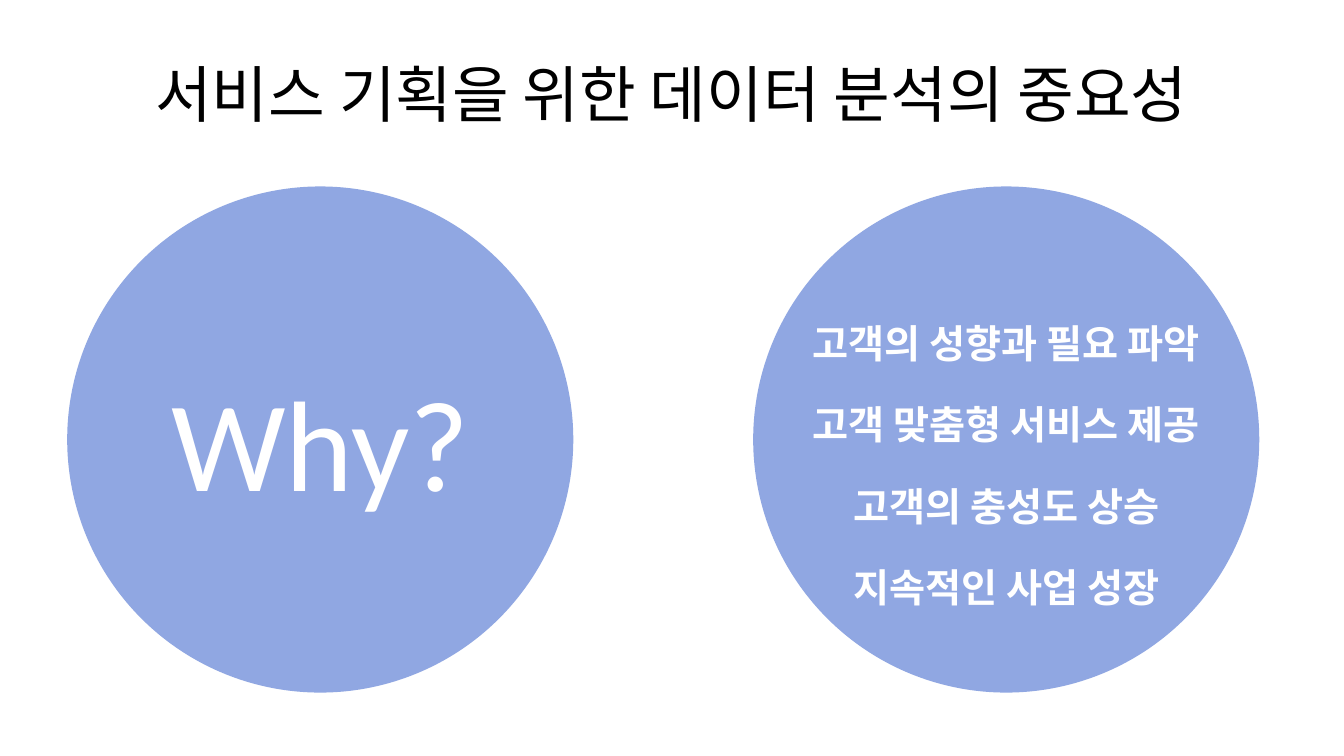
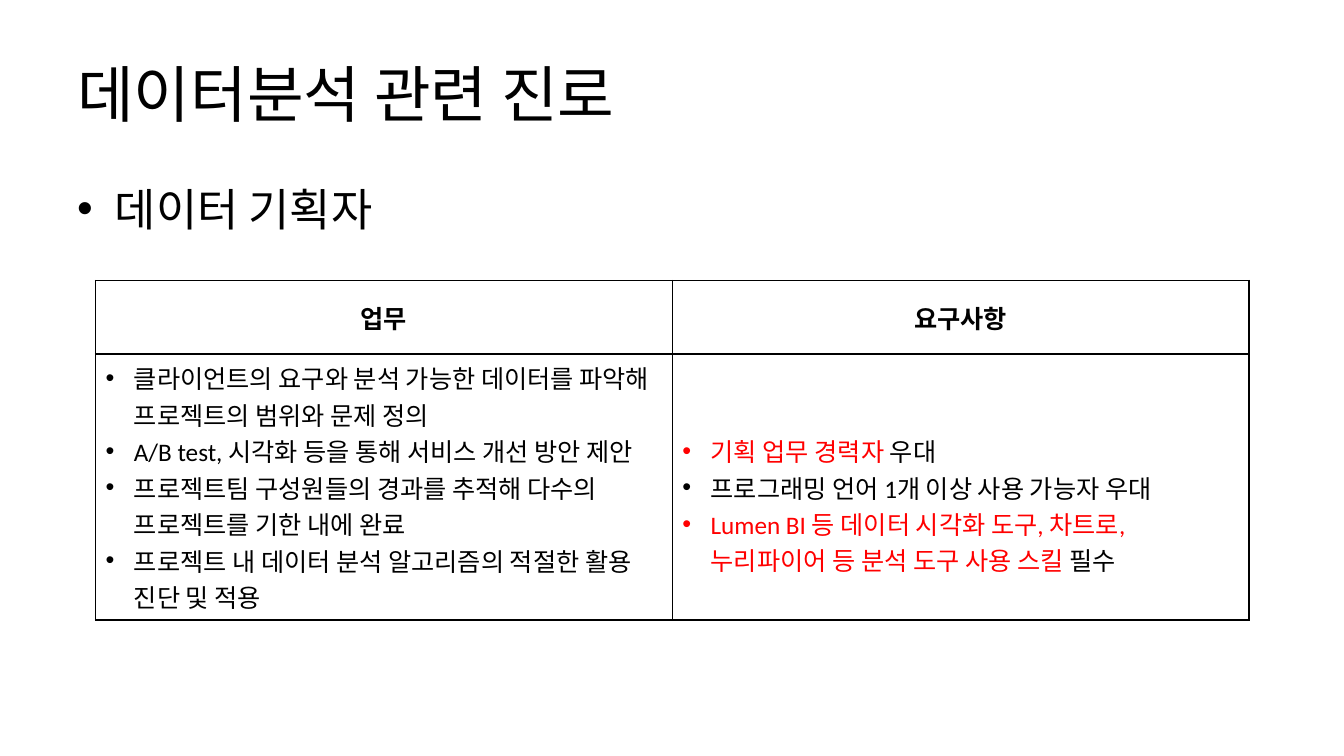
import pptx
import pptx.util
import pptx.dml.color
import pptx.enum.shapes
import pptx.enum.text
import pptx.oxml
import pptx.oxml.ns

Pt = pptx.util.Pt
ALIGN = pptx.enum.text.PP_ALIGN
ANCHOR = pptx.enum.text.MSO_ANCHOR

COLORS = {"ink": "000000", "white": "FFFFFF", "circle": "6182D6", "accent": "FF0000"}
FONT = "Calibri"
TITLE_BOX = (48, 21.6, 864, 90)
TITLE_FORMAT = {"size": Pt(44)}
NAMESPACE = 'xmlns:a="http://schemas.openxmlformats.org/drawingml/2006/main"'


def rgb(name):
    return pptx.dml.color.RGBColor.from_string(COLORS[name])


def set_all(target, values):
    for name, value in values.items():
        setattr(target, name, value)


def write_para(para, spans, formats, align=ALIGN.LEFT):
    para.alignment = align
    for text, color in spans:
        span = para.add_run()
        span.text = text
        set_all(span.font, {"name": FONT, **formats})
        span.font.color.rgb = rgb(color)


def add_bullet(para, indent):
    properties = para._p.get_or_add_pPr()
    properties.set("marL", str(Pt(indent)))
    properties.set("indent", str(-Pt(indent)))
    for xml in (f'<a:buFont {NAMESPACE} typeface="Arial"/>', f'<a:buChar {NAMESPACE} char="•"/>'):
        properties.append(pptx.oxml.parse_xml(xml))


def add_text(page, box, text, formats, color="ink", align=ALIGN.LEFT, anchor=ANCHOR.TOP):
    frame = page.shapes.add_textbox(*map(Pt, box)).text_frame
    set_all(frame, {"word_wrap": True, "vertical_anchor": anchor})
    write_para(frame.paragraphs[0], [(text, color)], formats, align)
    return frame.paragraphs[0]


def add_page(deck, title, align=ALIGN.LEFT):
    page = deck.slides.add_slide(deck.slide_layouts[6])
    add_text(page, TITLE_BOX, title, TITLE_FORMAT, align=align, anchor=ANCHOR.MIDDLE)
    return page


def add_circle(page, box):
    kind = pptx.enum.shapes.MSO_SHAPE.FLOWCHART_CONNECTOR
    circle = page.shapes.add_shape(kind, *map(Pt, box))
    circle.shadow.inherit = False
    circle.line.fill.background()
    circle.fill.solid()
    circle.fill.fore_color.rgb = rgb("circle")
    color = circle._element.spPr.find(".//" + pptx.oxml.ns.qn("a:srgbClr"))
    color.append(pptx.oxml.parse_xml(f'<a:alpha {NAMESPACE} val="70000"/>'))
    return circle


def question_circle(page, box, question):
    frame = add_circle(page, box).text_frame
    frame.vertical_anchor = ANCHOR.MIDDLE
    write_para(frame.paragraphs[0], [(question, "white")], {"size": Pt(92)}, ALIGN.CENTER)


def reason_circle(page, box, reasons):
    add_circle(page, box)
    left, top, width, height = box
    first, pitch = top + 91.5, 58
    for index, reason in enumerate(reasons):
        add_text(page, (left, first + index * pitch, width, 41), reason,
                 {"size": Pt(28), "bold": True}, "white", ALIGN.CENTER)


def style_cell(cell):
    cell.fill.background()
    cell.vertical_anchor = ANCHOR.MIDDLE
    properties = cell._tc.get_or_add_tcPr()
    for index, side in enumerate("LRTB"):
        properties.insert(index, pptx.oxml.parse_xml(
            f'<a:ln{side} {NAMESPACE} w="{Pt(1)}"><a:solidFill>'
            f'<a:srgbClr val="{COLORS["ink"]}"/></a:solidFill></a:ln{side}>'))


def job_table(page, box, head_height, columns):
    left, top, width, height = box
    table = page.shapes.add_table(2, len(columns), *map(Pt, box)).table
    set_all(table, {"first_row": False, "horz_banding": False})
    for row, row_height in zip(table.rows, (head_height, height - head_height)):
        row.height = Pt(row_height)
    for index, (heading, items, top_margin) in enumerate(columns):
        table.columns[index].width = Pt(width / len(columns))
        head, body = table.cell(0, index), table.cell(1, index)
        style_cell(head)
        style_cell(body)
        body.margin_top = Pt(top_margin)
        write_para(head.text_frame.paragraphs[0], [(heading, "ink")],
                   {"size": Pt(18), "bold": True}, ALIGN.CENTER)
        frame = body.text_frame
        for number, spans in enumerate(items):
            para = frame.add_paragraph() if number else frame.paragraphs[0]
            write_para(para, spans, {"size": Pt(18), "bold": False})
            add_bullet(para, 20.25)


def importance_page(deck):
    page = add_page(deck, "서비스 기획을 위한 데이터 분석의 중요성", ALIGN.CENTER)
    top, size = 133.2, 361.5
    question_circle(page, (48, top, size, size), "Why?")
    reason_circle(page, (538, top, size, size), [
        "고객의 성향과 필요 파악",
        "고객 맞춤형 서비스 제공",
        "고객의 충성도 상승",
        "지속적인 사업 성장",
    ])


def career_page(deck):
    page = add_page(deck, "데이터분석 관련 진로")
    para = add_text(page, (48, 126, 864, 60), "데이터 기획자", {"size": Pt(32)})
    add_bullet(para, 27)
    duties = [
        [("클라이언트의 요구와 분석 가능한 데이터를 파악해 프로젝트의 범위와 문제 정의", "ink")],
        [("A/B test, 시각화 등을 통해 서비스 개선 방안 제안", "ink")],
        [("프로젝트팀 구성원들의 경과를 추적해 다수의 프로젝트를 기한 내에 완료", "ink")],
        [("프로젝트 내 데이터 분석 알고리즘의 적절한 활용 진단 및 적용", "ink")],
    ]
    requirements = [
        [("기획 업무 경력자", "accent"), (" 우대", "ink")],
        [("프로그래밍 언어 1개 이상 사용 가능자 우대", "ink")],
        [("Lumen BI 등 데이터 시각화 도구, 차트로, 누리파이어 등 분석 도구 사용 스킬", "accent"),
         (" 필수", "ink")],
    ]
    job_table(page, (68.2, 200.4, 824, 242.5), 52.5,
              [("업무", duties, 3.6), ("요구사항", requirements, 29.6)])


def main():
    deck = pptx.Presentation()
    set_all(deck, {"slide_width": Pt(960), "slide_height": Pt(540)})
    importance_page(deck)
    career_page(deck)
    deck.save("out.pptx")


if __name__ == "__main__":
    main()
